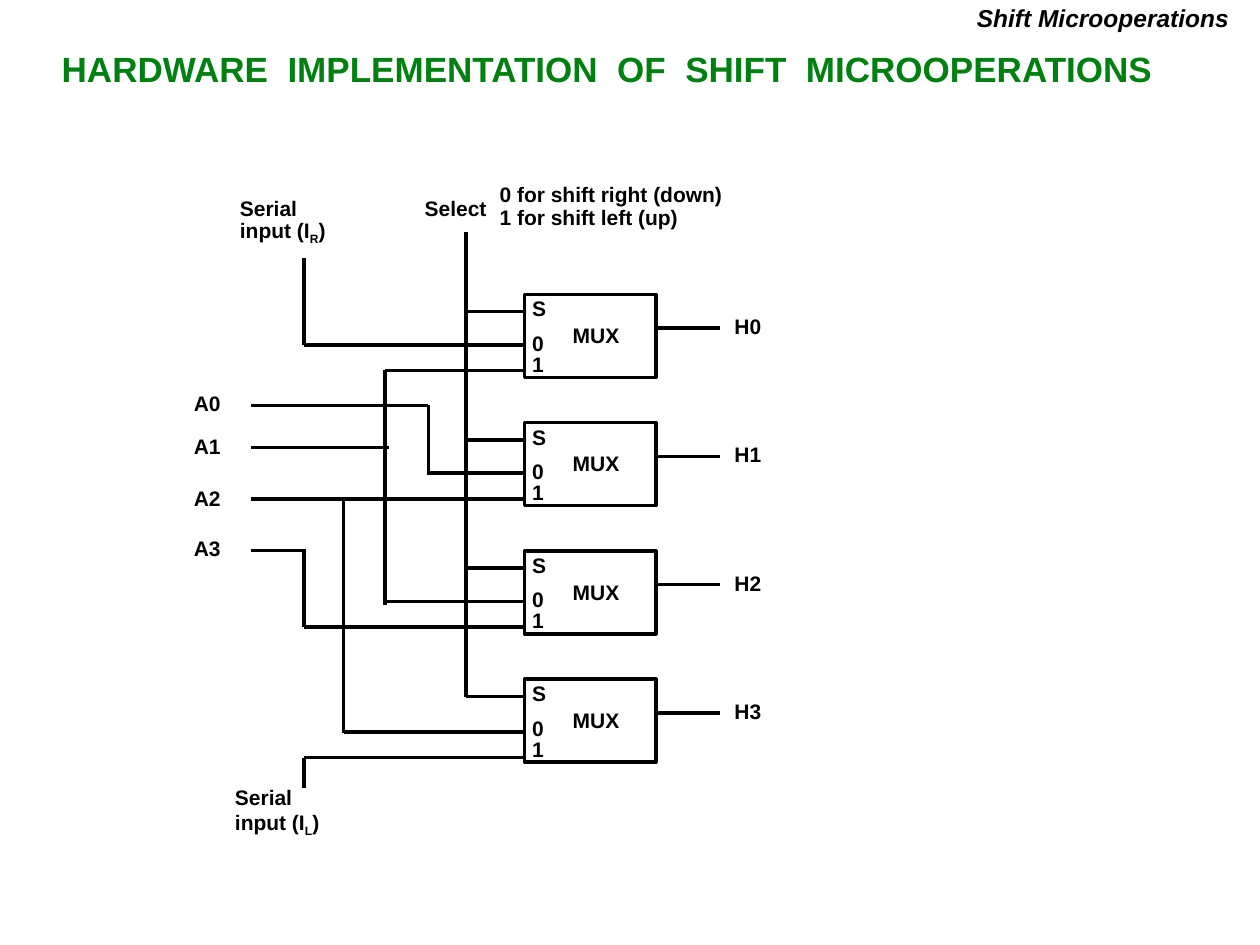
from dataclasses import dataclass

from lxml import etree
from pptx import Presentation
from pptx.dml.color import RGBColor
from pptx.enum.shapes import MSO_CONNECTOR, MSO_SHAPE
from pptx.enum.text import MSO_ANCHOR, MSO_AUTO_SIZE, PP_ALIGN
from pptx.oxml.ns import qn
from pptx.slide import Slide
from pptx.text.text import TextFrame
from pptx.util import Pt

STRAIGHT = MSO_CONNECTOR.STRAIGHT
RECTANGLE = MSO_SHAPE.RECTANGLE
MIDDLE = MSO_ANCHOR.MIDDLE
GROW = MSO_AUTO_SIZE.SHAPE_TO_FIT_TEXT
LEFT, CENTER, RIGHT = PP_ALIGN.LEFT, PP_ALIGN.CENTER, PP_ALIGN.RIGHT

BLACK = RGBColor(0x00, 0x00, 0x00)
GREEN = RGBColor(0x00, 0x80, 0x11)
FONT = "Arial"
LINE_WIDTH = 2
LABEL_HEIGHT = 20

MUX_LEFT, MUX_TOP, MUX_WIDTH, MUX_HEIGHT = 299.8, 168.2, 75, 47.5
MUX_PITCH = 73.3
PORT_LABEL_LEFT = 297

# Columns of the vertical wires
SERIAL_X, A2_X, A1_X, A0_X, SELECT_X = 173.7, 196.4, 220, 244.8, 266.4
INPUT_X = 143.3


@dataclass(frozen=True)
class Label:
    text: str
    left: float
    top: float
    width: float
    height: float = LABEL_HEIGHT
    line_spacing: float = 0.9
    subscript: str = ""
    tail: str = ""


@dataclass(frozen=True)
class Wire:
    start_x: float
    start_y: float
    end_x: float
    end_y: float


@dataclass(frozen=True)
class Mux:
    output: str
    zero_source_x: float
    one_source_x: float
    input_drop: float = 0


MUXES = [
    Mux("H0", SERIAL_X, A1_X),
    Mux("H1", A0_X, INPUT_X),
    Mux("H2", A1_X, SERIAL_X),
    Mux("H3", A2_X, SERIAL_X, input_drop=1.3),
]

LABELS = [
    Label("Select", 235.6, 109.6, 49.7),
    Label("0 for shift right (down)\n1 for shift left (up)", 278.4, 102, 144.7, 33),
    Label("Serial\ninput (I", 130, 110.9, 63.4, 43, 0.8, "R", ")"),
    Label("Serial\ninput (I", 127.2, 446.4, 65.5, 47.5, 0.9, "L", ")"),
    Label("A0", 103.7, 221.5, 29.5),
    Label("A1", 103.7, 245.8, 29.5),
    Label("A2", 103.7, 275.5, 29.5),
    Label("A3", 103.7, 304.3, 29.5),
]

WIRES = [
    Wire(SELECT_X, 398.2, SELECT_X, 132.5),
    Wire(A0_X, 271.2, A0_X, 231.2),
    Wire(A2_X, 419, A2_X, 284.4),
    Wire(SERIAL_X, 358.5, SERIAL_X, 314),
    Wire(A0_X, 231.8, INPUT_X, 231.8),
    Wire(222.5, 255.8, INPUT_X, 255.8),
    Wire(175, 314.5, INPUT_X, 314.5),
    Wire(SERIAL_X, 197.3, SERIAL_X, 147.6),
    Wire(SERIAL_X, 433, SERIAL_X, 450.5),
    Wire(A1_X, 345.6, A1_X, 211.2),
]


def format_text(frame: TextFrame, size: float, color: RGBColor, alignment: PP_ALIGN,
                line_spacing: float = 0.9, italic: bool = False) -> None:
    frame.auto_size = GROW
    for paragraph in frame.paragraphs:
        paragraph.alignment = alignment
        paragraph.line_spacing = line_spacing
        font = paragraph.font
        font.name, font.size = FONT, Pt(size)
        font.bold, font.italic = True, italic
        font.color.rgb = color


def add_label(slide: Slide, label: Label, size: float = 12,
              alignment: PP_ALIGN = LEFT, italic: bool = False) -> None:
    box = slide.shapes.add_textbox(
        Pt(label.left), Pt(label.top), Pt(label.width), Pt(label.height))
    frame = box.text_frame
    frame.word_wrap = False
    frame.text = label.text
    if label.subscript:
        paragraph = frame.paragraphs[-1]
        run = paragraph.add_run()
        run.text = label.subscript
        run._r.get_or_add_rPr().set("baseline", "-25000")
        paragraph.add_run().text = label.tail
    format_text(frame, size, BLACK, alignment, label.line_spacing, italic)


def add_wire(slide: Slide, wire: Wire) -> None:
    connector = slide.shapes.add_connector(
        STRAIGHT, Pt(wire.start_x), Pt(wire.start_y), Pt(wire.end_x), Pt(wire.end_y))
    connector.line.color.rgb = BLACK
    connector.line.width = Pt(LINE_WIDTH)
    etree.SubElement(connector._element.spPr, qn("a:effectLst"))


def add_mux(slide: Slide, mux: Mux, top: float) -> None:
    """Draw one multiplexer with its port labels, input wires and output."""
    body = slide.shapes.add_shape(
        RECTANGLE, Pt(MUX_LEFT), Pt(top), Pt(MUX_WIDTH), Pt(MUX_HEIGHT))
    body.shadow.inherit = False
    body.fill.background()
    body.line.color.rgb = BLACK
    body.line.width = Pt(LINE_WIDTH)

    add_label(slide, Label("S", PORT_LABEL_LEFT, top - 1, 22.3))
    add_label(slide, Label("0", PORT_LABEL_LEFT, top + 18.7, 20.9, 33))
    add_label(slide, Label("1", PORT_LABEL_LEFT, top + 30.7, 20.9))
    add_label(slide, Label("MUX", 320.2, top + 14.2, 41))
    add_label(slide, Label(mux.output, 412.6, top + 9.1, 29.5))

    inputs = [
        (SELECT_X, top + 9.8),
        (mux.zero_source_x, top + 28.9 + mux.input_drop),
        (mux.one_source_x, top + 43.5 + mux.input_drop),
    ]
    for source_x, y in inputs:
        add_wire(slide, Wire(MUX_LEFT, y, source_x, y))
    output_y = top + 19.3
    add_wire(slide, Wire(MUX_LEFT + MUX_WIDTH + 1, output_y, 411.4, output_y))


def add_title(slide: Slide) -> None:
    title = slide.shapes.title
    title.left, title.top, title.width, title.height = Pt(0), Pt(27.4), Pt(694), Pt(26)
    frame = title.text_frame
    frame.text = "HARDWARE  IMPLEMENTATION  OF  SHIFT  MICROOPERATIONS"
    frame.vertical_anchor = MIDDLE
    frame.margin_left = frame.margin_right = Pt(5)
    frame.margin_top = frame.margin_bottom = Pt(2)
    format_text(frame, 20, GREEN, CENTER)


def main() -> None:
    presentation = Presentation()
    presentation.slide_width, presentation.slide_height = Pt(720), Pt(540)
    slide = presentation.slides.add_slide(presentation.slide_layouts[5])
    add_title(slide)
    add_label(slide, Label("Shift Microoperations", 547.6, 0, 162, 22.3),
              size=14, alignment=RIGHT, italic=True)
    for index, mux in enumerate(MUXES):
        add_mux(slide, mux, MUX_TOP + index * MUX_PITCH)
    for wire in WIRES:
        add_wire(slide, wire)
    for label in LABELS:
        add_label(slide, label)
    presentation.save("out.pptx")


if __name__ == "__main__":
    main()
